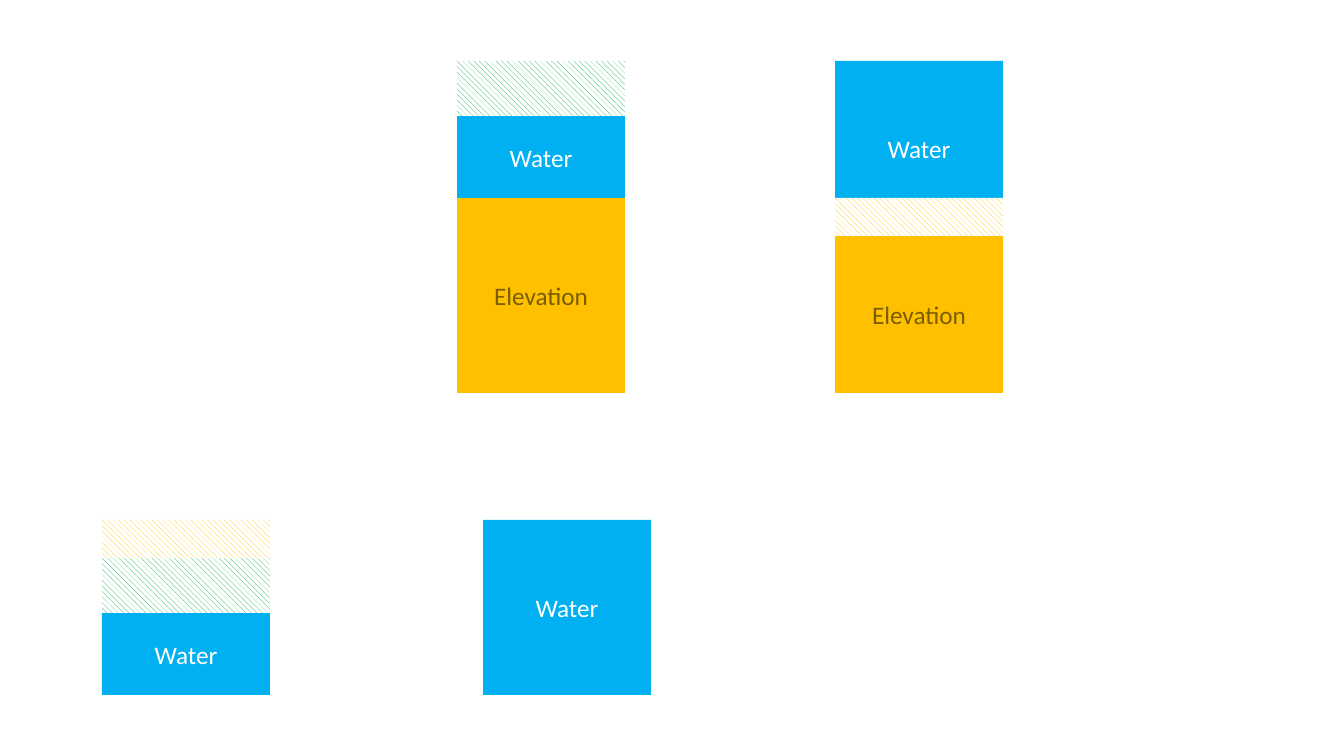
from pptx import Presentation
from pptx import util as u
from pptx.dml.color import RGBColor
from pptx.enum import dml, shapes, text

PX = 914400 / 100.8
WIDE = 168
HUES = {"land": "FFC000", "water": "00B0F0", "green": "00B050",
        "brown": "7A5D00", "white": "FFFFFF"}

# kind: (fill, label, label colour); a kind without a label is hatched
KINDS = {
    "land": ("land", "Elevation", "brown"),
    "water": ("water", "Water", "white"),
    "rise": ("green", None, None),
    "drop": ("land", None, None),
}

# left, base, then (kind, offset above base, height) from back to front
STACKS = [
    (457, 393, [("land", 0, 195), ("water", 195, 82), ("rise", 277, 55)]),
    (835, 393, [("land", 0, 157), ("water", 157, 175), ("drop", 157, 38)]),
    (102, 695, [("water", 0, 82), ("rise", 82, 55), ("drop", 137, 38)]),
    (483, 695, [("water", 0, 175)]),
]


def px(n):
    return u.Emu(round(n * PX))


def hue(name):
    return RGBColor.from_string(HUES[name])


def hatch(fill, name):
    fill.patterned()
    fill.pattern = dml.MSO_PATTERN.WIDE_DOWNWARD_DIAGONAL
    fill.fore_color.rgb = hue(name)
    fill.back_color.rgb = hue("white")


def label(block, words, ink):
    frame = block.text_frame
    frame.word_wrap = True
    frame.vertical_anchor = text.MSO_ANCHOR.MIDDLE
    para = frame.paragraphs[0]
    para.alignment = text.PP_ALIGN.CENTER
    run = para.add_run()
    run.text = words
    run.font.name = "Calibri"
    run.font.size = u.Pt(18)
    run.font.color.rgb = hue(ink)


def add_block(slide, kind, left, top, high):
    fill, words, ink = KINDS[kind]
    block = slide.shapes.add_shape(
        shapes.MSO_SHAPE.RECTANGLE, px(left), px(top), px(WIDE), px(high))
    block.shadow.inherit = False
    block.line.fill.background()
    if words:
        block.fill.solid()
        block.fill.fore_color.rgb = hue(fill)
        label(block, words, ink)
    else:
        hatch(block.fill, fill)


def add_stack(slide, left, base, parts):
    for kind, lift, high in parts:
        add_block(slide, kind, left, base - lift - high, high)


def main():
    deck = Presentation()
    deck.slide_width, deck.slide_height = px(1344), px(756)
    slide = deck.slides.add_slide(deck.slide_layouts[6])
    for left, base, parts in STACKS:
        add_stack(slide, left, base, parts)
    deck.save("out.pptx")


if __name__ == "__main__":
    main()
